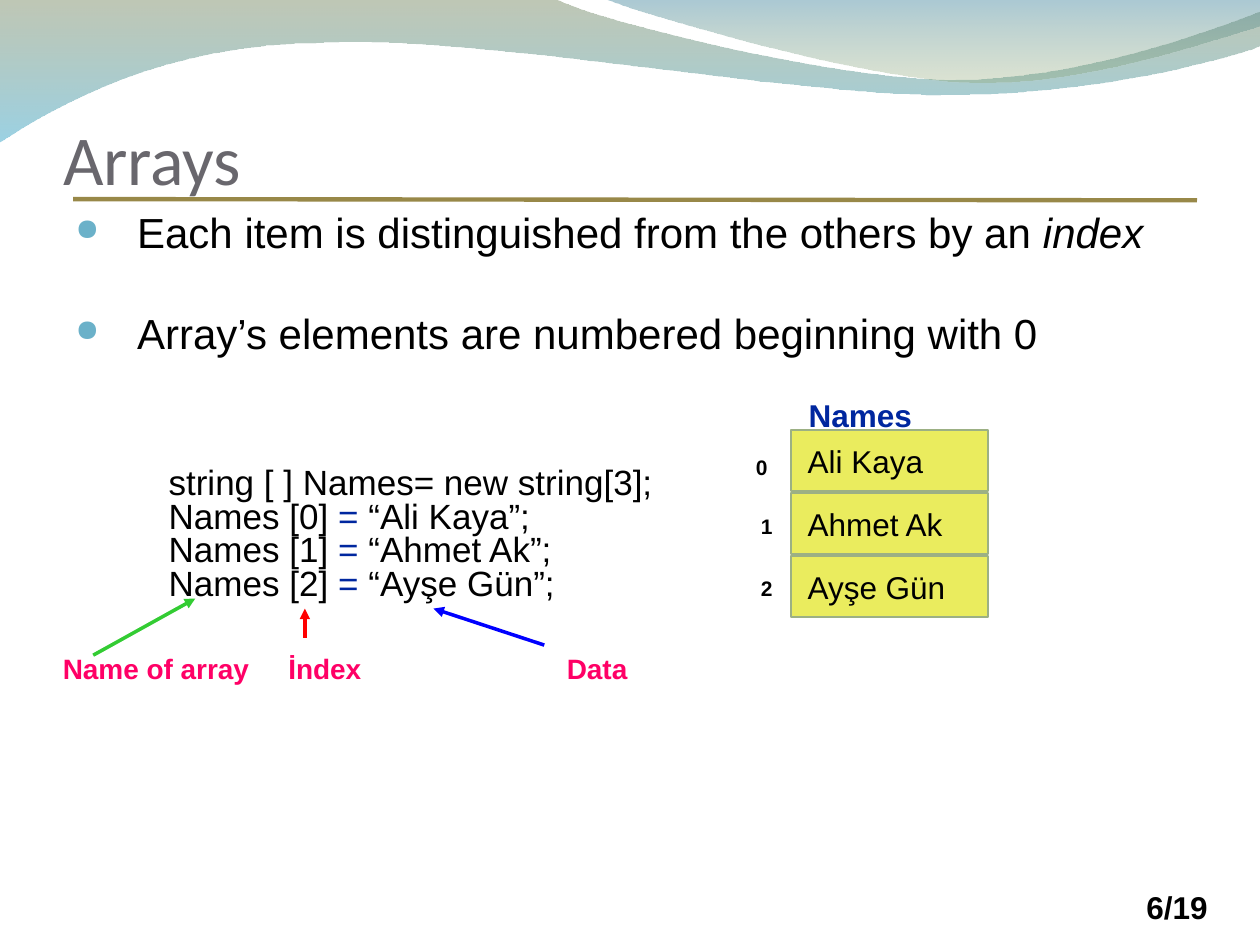
from dataclasses import dataclass

from lxml import etree
from pptx import Presentation
from pptx import util as u
from pptx.dml.color import RGBColor
from pptx.enum import shapes, text
from pptx.oxml.ns import qn


@dataclass(frozen=True)
class Theme:
    sans: str = "Arial"
    heading: str = "Calibri"
    ink: str = "000000"
    title: str = "69676D"
    rule: str = "988848"
    bullet: str = "6BB1C9"
    accent: str = "00279F"
    label: str = "FF0066"
    cell: str = "EAEC5E"
    cell_edge: str = "9CB084"
    title_size: int = 40
    body_size: int = 24
    code_size: int = 20
    cell_size: int = 18
    label_size: int = 16
    index_size: int = 12


THEME = Theme()

# Content
TITLE = "Arrays"
PAGE_NUMBER = "6/19"
BULLETS = [
    [("Each item is distinguished from the others by an ", False), ("index", True)],
    [("Array’s elements are numbered beginning with 0", False)],
]
DECLARATION = "string [ ] Names= new string[3];"
ARRAY_NAME = "Names"
ITEMS = ["Ali Kaya", "Ahmet Ak", "Ayşe Gün"]
INDEX_SPOTS = [(5.9, 3.56), (5.94, 4.03), (5.94, 4.52)]
LABELS = ["Name of array", "İndex", "Data"]
LABEL_TABS = [1.79, 4.0]
ARROWS = [  # start, end, colour
    ((0.74, 5.2), (1.55, 4.75), "33CC33"),
    ((2.42, 5.06), (2.42, 4.83), "FF0000"),
    ((4.32, 5.12), (3.44, 4.83), "0000FF"),
]
# Waves in hundredths of an inch: a pair is a straight step, six numbers a Bézier step
WAVES = [
    ([(0, -1), (440, -1), (476, 17, 664, 63, 758, 63), (853, 63, 958, 26, 1000, 9),
      (1001, 36), (983, 44, 870, 76, 746, 75), (622, 75, 382, 28, 257, 34),
      (129, 35, 46, 83, -1, 113)],
     [("72845C", 45), ("49ACCD", 55)]),
    ([(479, -1), (509, 11, 682, 62, 769, 65), (856, 69, 961, 32, 1000, 21), (1000, 0)],
     [("42869E", 45), ("8AA26C", 30)]),
]
CELL_LEFT, CELL_TOP, CELL_WIDTH, CELL_HEIGHT, CELL_PITCH = 6.28, 3.41, 1.56, 0.49, 0.5


def rgb(code):
    return RGBColor.from_string(code)


def style(font, size, color=THEME.ink, bold=False, name=THEME.sans):
    font.name, font.size, font.bold = name, u.Pt(size), bold
    font.color.rgb = rgb(color)


def add_box(page, left, top, width, height, wrap=True):
    box = page.shapes.add_textbox(*map(u.Inches, (left, top, width, height)))
    box.text_frame.word_wrap = wrap
    return box.text_frame


def add_text(page, area, content, size, color=THEME.ink, bold=False, wrap=True):
    para = add_box(page, *area, wrap=wrap).paragraphs[0]
    para.text = content
    style(para.font, size, color, bold)


def add_paragraphs(frame, count):
    return [frame.paragraphs[0]] + [frame.add_paragraph() for _ in range(count - 1)]


def add_line(page, start, end, color, width, arrow=False):
    points = map(u.Inches, (*start, *end))
    line = page.shapes.add_connector(shapes.MSO_CONNECTOR.STRAIGHT, *points)
    line.line.color.rgb = rgb(color)
    line.line.width = u.Pt(width)
    props = line.element.spPr
    if arrow:
        etree.SubElement(props.find(qn("a:ln")), qn("a:tailEnd"), type="triangle")
    etree.SubElement(props, qn("a:effectLst"))


def add_wave(page, steps, stops):
    anchors = [step[-2:] for step in steps]
    builder = page.shapes.build_freeform(*anchors[0], scale=u.Inches(0.01))
    builder.add_line_segments(anchors[1:], close=True)
    wave = builder.convert_to_shape()
    bend(wave, steps, min(x for x, _ in anchors), min(y for _, y in anchors))
    wave.shadow.inherit = False
    wave.line.fill.background()
    wave.fill.gradient()
    wave.fill.gradient_angle = 270
    for stop, (color, _) in zip(wave.fill.gradient_stops, stops):
        stop.color.rgb = rgb(color)
    for node, (_, opacity) in zip(wave.element.spPr.iter(qn("a:srgbClr")), stops):
        etree.SubElement(node, qn("a:alpha"), val=str(opacity * 1000))


def bend(wave, steps, left, top):
    """Turn the straight segments of Bézier steps into curves."""
    segments = list(wave.element.spPr.iter(qn("a:lnTo")))
    for segment, step in zip(segments, steps[1:]):
        if len(step) == 2:
            continue
        curve = etree.Element(qn("a:cubicBezTo"))
        for x, y in zip(step[::2], step[1::2]):
            etree.SubElement(curve, qn("a:pt"), x=str(x - left), y=str(y - top))
        segment.getparent().replace(segment, curve)


def add_bullet(para):
    props = para._p.get_or_add_pPr()
    indent = u.Inches(0.49)
    props.set("marL", str(indent))
    props.set("indent", str(-indent))
    color = etree.SubElement(props, qn("a:buClr"))
    etree.SubElement(color, qn("a:srgbClr"), val=THEME.bullet)
    etree.SubElement(props, qn("a:buSzPct"), val="72000")
    etree.SubElement(props, qn("a:buChar"), char="●")


def main():
    deck = Presentation()
    deck.slide_width, deck.slide_height = u.Inches(10), u.Inches(7.5)
    page = deck.slides.add_slide(deck.slide_layouts[5])

    # Background waves, rule and page number
    for steps, stops in WAVES:
        add_wave(page, steps, stops)
    add_line(page, (0.58, 1.58), (9.5, 1.59), THEME.rule, 2.5)
    add_text(page, (9, 7, 0.92, 0.4), PAGE_NUMBER, THEME.cell_size, bold=True)

    # Title, brought in front of the waves
    title = page.shapes.title
    title.element.getparent().append(title.element)
    title.left, title.top, title.width, title.height = map(u.Inches, (0.5, 0.33, 9, 1.25))
    frame = title.text_frame
    frame.text = TITLE
    frame.auto_size = text.MSO_AUTO_SIZE.NONE
    frame.vertical_anchor = text.MSO_ANCHOR.BOTTOM
    frame.margin_left = frame.margin_right = frame.margin_bottom = 0
    frame.paragraphs[0].alignment = text.PP_ALIGN.LEFT
    style(frame.paragraphs[0].font, THEME.title_size, THEME.title, name=THEME.heading)

    # Bullets
    frame = add_box(page, 0.5, 1.67, 9, 5.33)
    for row, (para, parts) in enumerate(zip(add_paragraphs(frame, len(BULLETS)), BULLETS)):
        add_bullet(para)
        para.line_spacing = 0.8
        para.space_before = u.Pt(34.5 if row else 0)
        style(para.font, THEME.body_size)
        for content, italic in parts:
            span = para.add_run()
            span.text, span.font.italic = content, italic

    # Code
    frame = add_box(page, 1.24, 3.67, 5, 1.17)
    lines = [[(DECLARATION, THEME.ink)]] + [
        [(f"{ARRAY_NAME} [{i}] ", THEME.ink), ("=", THEME.accent), (f" “{item}”;", THEME.ink)]
        for i, item in enumerate(ITEMS)]
    for para, parts in zip(add_paragraphs(frame, len(lines)), lines):
        para.line_spacing = 0.8
        style(para.font, THEME.code_size)
        for content, color in parts:
            span = para.add_run()
            span.text = content
            span.font.color.rgb = rgb(color)

    # Labels and their arrows
    para = add_box(page, 0.4, 5.12, 6.11, 0.36).paragraphs[0]
    para.text = "\t".join(LABELS)
    tabs = etree.SubElement(para._p.get_or_add_pPr(), qn("a:tabLst"))
    for stop in LABEL_TABS:
        etree.SubElement(tabs, qn("a:tab"), pos=str(u.Inches(stop)), algn="l")
    style(para.font, THEME.label_size, THEME.label, bold=True)
    for start, end, color in ARROWS:
        add_line(page, start, end, color, 2, arrow=True)

    # Array drawn as stacked cells
    add_text(page, (6.32, 3.09, 1.02, 0.4), ARRAY_NAME, THEME.cell_size, THEME.accent,
             bold=True, wrap=False)
    for i, (item, spot) in enumerate(zip(ITEMS, INDEX_SPOTS)):
        area = (CELL_LEFT, CELL_TOP + i * CELL_PITCH, CELL_WIDTH, CELL_HEIGHT)
        cell = page.shapes.add_shape(shapes.MSO_SHAPE.RECTANGLE, *map(u.Inches, area))
        cell.shadow.inherit = False
        cell.fill.solid()
        cell.fill.fore_color.rgb = rgb(THEME.cell)
        cell.line.color.rgb = rgb(THEME.cell_edge)
        cell.line.width = u.Pt(1)
        cell.text_frame.margin_left = u.Inches(0.13)
        para = cell.text_frame.paragraphs[0]
        para.text, para.alignment = item, text.PP_ALIGN.LEFT
        style(para.font, THEME.cell_size)
        add_text(page, (*spot, 0.29, 0.3), str(i), THEME.index_size, bold=True, wrap=False)

    deck.save("out.pptx")


if __name__ == "__main__":
    main()
